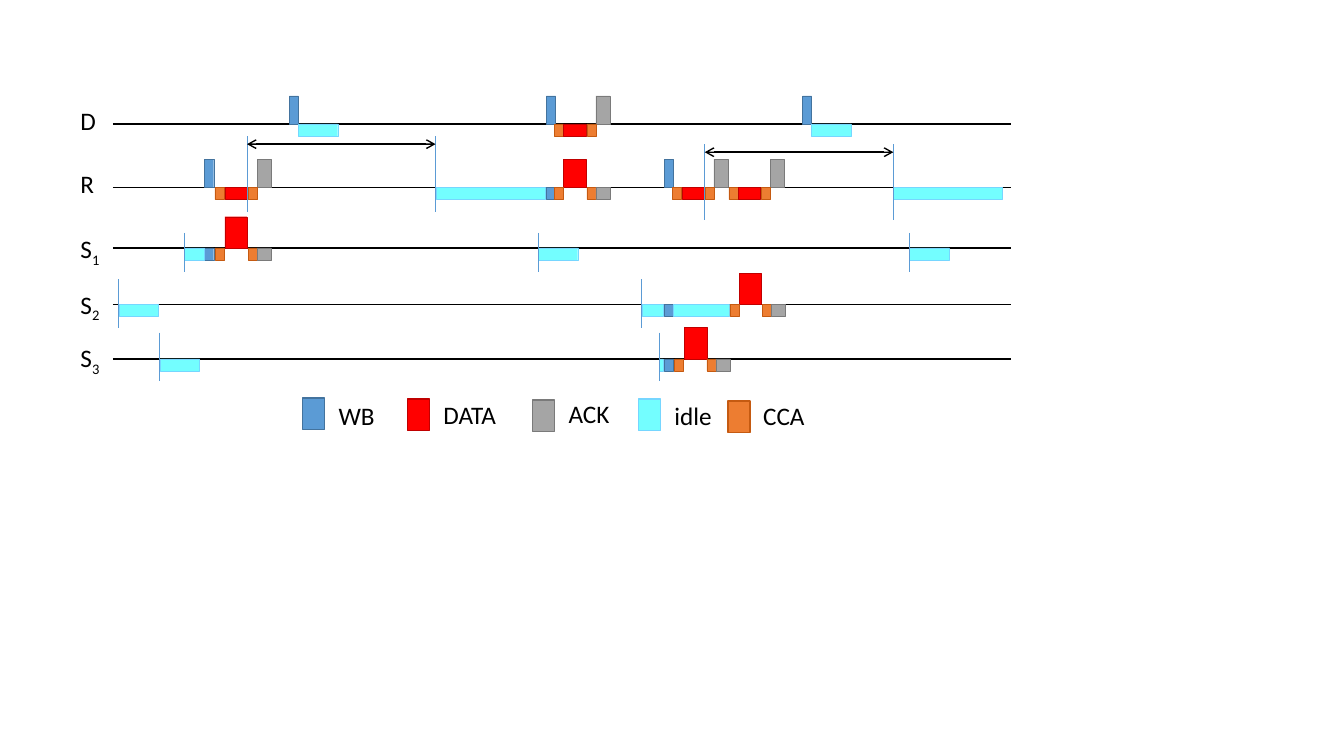
from lxml.etree import SubElement as Sub
from pptx import Presentation
from pptx.dml.color import RGBColor as RGB
from pptx.enum.shapes import MSO_CONNECTOR as Conn, MSO_SHAPE as Shape
from pptx.enum.text import MSO_AUTO_SIZE as Auto
from pptx.oxml.ns import qn
from pptx.util import Inches, Pt

BLACK = RGB(0x00, 0x00, 0x00)
BLUE = RGB(0x5B, 0x9B, 0xD5)
NAVY = RGB(0x43, 0x73, 0x9E)
RED = RGB(0xFF, 0x00, 0x00)
MAROON = RGB(0xC0, 0x00, 0x00)
GRAY = RGB(0xA5, 0xA5, 0xA5)
SLATE = RGB(0x7A, 0x7A, 0x7A)
CYAN = RGB(0x73, 0xFE, 0xFF)
SKY = RGB(0x76, 0xD6, 0xFF)
ORANGE = RGB(0xED, 0x7D, 0x31)
RUST = RGB(0xC5, 0x5A, 0x11)

KINDS = {
    "WB": (BLUE, NAVY, 0.09),
    "DATA": (RED, MAROON, 0.22),
    "ACK": (GRAY, SLATE, 0.14),
    "idle": (CYAN, SKY, 0.39),
    "CCA": (ORANGE, RUST, 0.09),
}
LEGEND = [
    ("WB", 3.0, 3.95, 3.26, 3.92, 0.57),
    ("DATA", 4.04, 3.96, 4.3, 3.91, 0.73),
    ("ACK", 5.28, 3.97, 5.54, 3.9, 0.61),
    ("idle", 6.33, 3.96, 6.59, 3.92, 0.58),
    ("CCA", 7.22, 3.98, 7.47, 3.92, 0.62),
]
ROWS = [
    {"name": "D", "sub": "", "top": 1.0, "wide": 0.36, "axis": 1.23, "rise": 0.28,
     "up": [("WB", 2.87), ("WB", 5.42), ("ACK", 5.91), ("WB", 7.96)],
     "down": [("CCA", 5.5), ("DATA", 5.59), ("CCA", 5.82),
              ("idle", 2.96), ("idle", 8.05)]},
    {"name": "R", "sub": "", "top": 1.62, "wide": 0.34, "axis": 1.86, "rise": 0.28,
     "up": [("WB", 2.03), ("ACK", 2.55), ("DATA", 5.59), ("WB", 6.59),
            ("ACK", 7.08), ("ACK", 7.64)],
     "down": [("CCA", 2.13), ("DATA", 2.23), ("CCA", 2.46), ("idle", 4.33, 1.08),
              ("WB", 5.42), ("CCA", 5.5), ("CCA", 5.82), ("ACK", 5.91),
              ("CCA", 6.67), ("DATA", 6.77), ("CCA", 6.99), ("CCA", 7.23),
              ("DATA", 7.32), ("CCA", 7.55), ("idle", 8.86, 1.08)]},
    {"name": "S", "sub": "1", "top": 2.27, "wide": 0.4, "axis": 2.46, "rise": 0.31,
     "up": [("DATA", 2.23)],
     "down": [("WB", 2.03), ("CCA", 2.13), ("CCA", 2.46), ("ACK", 2.55),
              ("idle", 1.83, 0.2), ("idle", 5.34), ("idle", 9.02)]},
    {"name": "S", "sub": "2", "top": 2.82, "wide": 0.4, "axis": 3.02, "rise": 0.31,
     "up": [("DATA", 7.33)],
     "down": [("idle", 1.18), ("idle", 6.37, 0.21), ("WB", 6.59),
              ("idle", 6.68, 0.55), ("CCA", 7.24), ("CCA", 7.56), ("ACK", 7.65)]},
    {"name": "S", "sub": "3", "top": 3.35, "wide": 0.4, "axis": 3.56, "rise": 0.31,
     "up": [("DATA", 6.79)],
     "down": [("idle", 1.59), ("idle", 6.54, 0.04), ("WB", 6.59),
              ("CCA", 6.69), ("CCA", 7.01), ("ACK", 7.1)]},
]
TICKS = [
    (1.35, 2.1, (2.45, 4.32)),
    (1.43, 2.18, (6.99, 8.86)),
    (2.31, 2.7, (1.83, 5.34, 9.02)),
    (2.77, 3.25, (1.17, 6.36)),
    (3.3, 3.78, (1.58, 6.54)),
]
SPANS = [(2.45, 4.32, 1.43), (6.99, 8.86, 1.51)]
LEFT, RIGHT = 1.12, 10.03
DROP = 0.12

deck = Presentation()
deck.slide_width, deck.slide_height = Inches(13.33), Inches(7.5)
slide = deck.slides.add_slide(deck.slide_layouts[6])


def text(words, x, y, wide, sub="", size=18, font="Calibri", color=BLACK):
    box = slide.shapes.add_textbox(Inches(x), Inches(y), Inches(wide), Inches(0.4))
    frame = box.text_frame
    frame.word_wrap = False
    frame.auto_size = Auto.SHAPE_TO_FIT_TEXT
    for part in filter(None, (words, sub)):
        run = frame.paragraphs[0].add_run()
        run.text = part
        run.font.size, run.font.name = Pt(size), font
        run.font.color.rgb = color
    if sub:
        run._r.get_or_add_rPr().set("baseline", "-25000")


def block(kind, x, y, wide, high, line=0.25):
    fill, edge, _ = KINDS[kind]
    rect = slide.shapes.add_shape(
        Shape.RECTANGLE, Inches(x), Inches(y), Inches(wide), Inches(high))
    rect.shadow.inherit = False
    rect.fill.solid()
    rect.fill.fore_color.rgb = fill
    rect.line.color.rgb = edge
    rect.line.width = Pt(line)


def rule(x1, y1, x2, y2, color=BLACK, width=1, ends=False):
    line = slide.shapes.add_connector(
        Conn.STRAIGHT, Inches(x1), Inches(y1), Inches(x2), Inches(y2))
    line.line.color.rgb = color
    line.line.width = Pt(width)
    if ends:
        for end in ("a:headEnd", "a:tailEnd"):
            Sub(line.line._get_or_add_ln(), qn(end), type="arrow")
    Sub(line._element.spPr, qn("a:effectLst"))


for kind, x, y, left, top, wide in LEGEND:
    block(kind, x, y, 0.22, 0.31, line=1)
    text(kind, left, top, wide)

for row in ROWS:
    axis, rise = row["axis"], row["rise"]
    text(row["name"], 0.7, row["top"], row["wide"], sub=row["sub"])
    rule(LEFT, axis, RIGHT, axis)
    for side, y, high in (("up", axis - rise, rise), ("down", axis, DROP)):
        for kind, x, *wide in row[side]:
            block(kind, x, y, wide[0] if wide else KINDS[kind][2], high)

for top, low, spots in TICKS:
    for x in spots:
        rule(x, top, x, low, color=BLUE, width=0.5)

for start, stop, y in SPANS:
    rule(start, y, stop, y, ends=True)

deck.save("out.pptx")
